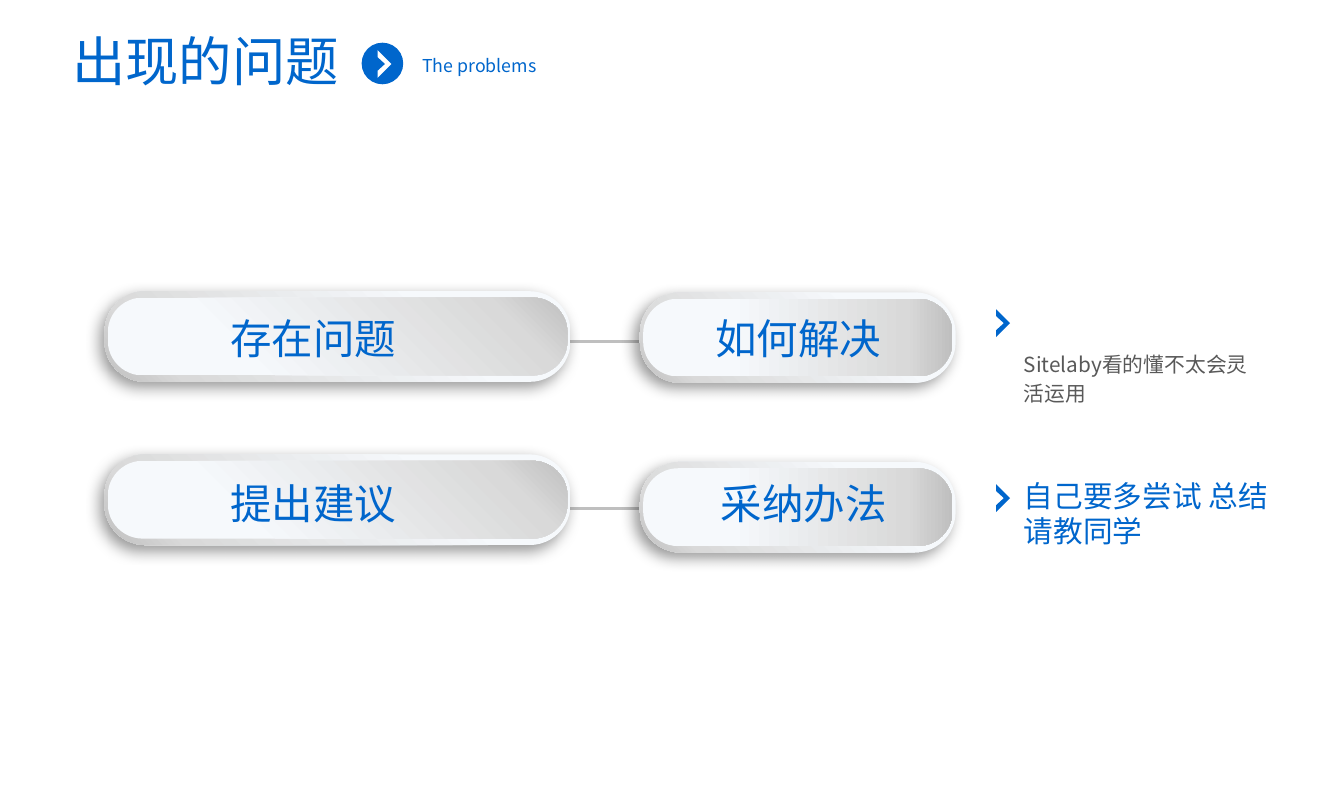
from lxml import etree
from pptx import Presentation
from pptx.dml.color import RGBColor
from pptx.enum.shapes import MSO_CONNECTOR, MSO_SHAPE
from pptx.enum.text import MSO_ANCHOR, PP_ALIGN
from pptx.oxml import parse_xml
from pptx.oxml.ns import nsdecls, qn
from pptx.util import Inches, Pt

LEFT, CENTER = PP_ALIGN.LEFT, PP_ALIGN.CENTER
TOP = MSO_ANCHOR.TOP
LINE = MSO_CONNECTOR.STRAIGHT
OVAL, PILL = MSO_SHAPE.OVAL, MSO_SHAPE.ROUNDED_RECTANGLE
FONT = "Noto Sans CJK SC"
COLORS = {"blue": "0066CC", "text": "595959", "line": "BFBFBF", "white": "FFFFFF"}
STOPS = [(28, "F6F9FC"), (85, "D9D9D9"), (100, "BFBFBF")]

prs = Presentation()
prs.slide_width, prs.slide_height = Inches(12.6), Inches(7.5)
slide = prs.slides.add_slide(prs.slide_layouts[5])
shapes = slide.shapes


def label(box, area, text, size, color="blue", align=LEFT):
    """Place a text box or placeholder and write one styled paragraph in it."""
    box.left, box.top, box.width, box.height = [Inches(v) for v in area]
    frame = box.text_frame
    frame.word_wrap = True
    frame.vertical_anchor = TOP
    frame.text = text
    para = frame.paragraphs[0]
    para.alignment = align
    font = para.font
    font.size, font.name = Pt(size), FONT
    font.color.rgb = RGBColor.from_string(COLORS[color])
    props = para._p.find(".//" + qn("a:defRPr"))
    etree.SubElement(props, qn("a:ea")).set("typeface", FONT)
    return para


def paint(shape, color):
    shape.fill.solid()
    shape.fill.fore_color.rgb = RGBColor.from_string(COLORS[color])
    shape.line.fill.background()
    shape.shadow.inherit = False


# Heading
label(shapes.title, (0.39, 0.21, 3.07, 0.71), "出现的问题", 36, align=CENTER)
label(shapes.add_textbox(0, 0, 0, 0), (3.86, 0.46, 2.5, 0.3), "The problems", 12)
disc = shapes.add_shape(OVAL, Inches(3.39), Inches(0.4), Inches(0.39), Inches(0.39))
paint(disc, "blue")

# Links run behind the pills
for y in (3.2, 4.77):
    link = shapes.add_connector(LINE, Inches(4.9), Inches(y), Inches(6.4), Inches(y))
    link.line.color.rgb = RGBColor.from_string(COLORS["line"])
    link.line.width = Pt(2)
    etree.SubElement(link._element.spPr, qn("a:effectLst"))

# Pills: a shadowed rim with a face inset in it
RIM = (0.03, 0.06)
pills = [
    (6, 4.33, 2.96, 0, 6.37, 4.43, "采纳办法"),
    (0.98, 4.26, 4.37, 315, 1.77, 4.43, "提出建议"),
    (6, 2.74, 2.96, 0, 6.32, 2.89, "如何解决"),
    (0.98, 2.73, 4.37, 315, 1.77, 2.89, "存在问题"),
]
for x, y, width, turn, tx, ty, text in pills:
    for dx, dy, angle in ((0, 0, 135), (*RIM, turn)):
        pill = shapes.add_shape(PILL, Inches(x + dx), Inches(y + dy),
                                Inches(width - 2 * dx), Inches(0.85 - 2 * dy))
        pill.adjustments[0] = 0.45
        pill.line.fill.background()
        pill.shadow.inherit = False
        pill.fill.gradient()
        pill.fill.gradient_angle = (360 - angle) % 360
        props = pill._element.spPr
        stops = props.find(".//" + qn("a:gsLst"))
        for old in list(stops):
            stops.remove(old)
        for share, color in STOPS:
            stop = etree.SubElement(stops, qn("a:gs"), pos=str(share * 1000))
            etree.SubElement(stop, qn("a:srgbClr"), val=color)
        if dx == 0:
            props.find(qn("a:effectLst")).append(parse_xml(
                f'<a:outerShdw {nsdecls("a")} blurRad="{Pt(10)}" dist="{Pt(5)}" '
                'dir="8100000" algn="tr" rotWithShape="0"><a:srgbClr val="000000">'
                '<a:alpha val="40000"/></a:srgbClr></a:outerShdw>'))
    label(shapes.add_textbox(0, 0, 0, 0), (tx, ty, 2.33, 0.57), text, 28, align=CENTER)

# Chevrons: one in the disc, one per note
CHEVRON = [(0, 0), (1, 0.5), (0, 1), (0, 0.75), (0.55, 0.5), (0, 0.25)]
for x, y, color in ((3.54, 0.47, "white"), (9.34, 2.9, "blue"), (9.34, 4.54, "blue")):
    points = [(Inches(x + 0.13 * px), Inches(y + 0.26 * py)) for px, py in CHEVRON]
    pen = shapes.build_freeform(*points[0])
    pen.add_line_segments(points[1:])
    paint(pen.convert_to_shape(), color)

# Notes
note = label(shapes.add_textbox(0, 0, 0, 0), (9.5, 3.2, 2.33, 0.66),
             "Sitelaby看的懂不太会灵活运用", 14, "text")
note.line_spacing = Pt(20)
label(shapes.add_textbox(0, 0, 0, 0), (9.5, 4.43, 2.71, 0.77),
      "自己要多尝试 总结请教同学", 20)

prs.save("out.pptx")
